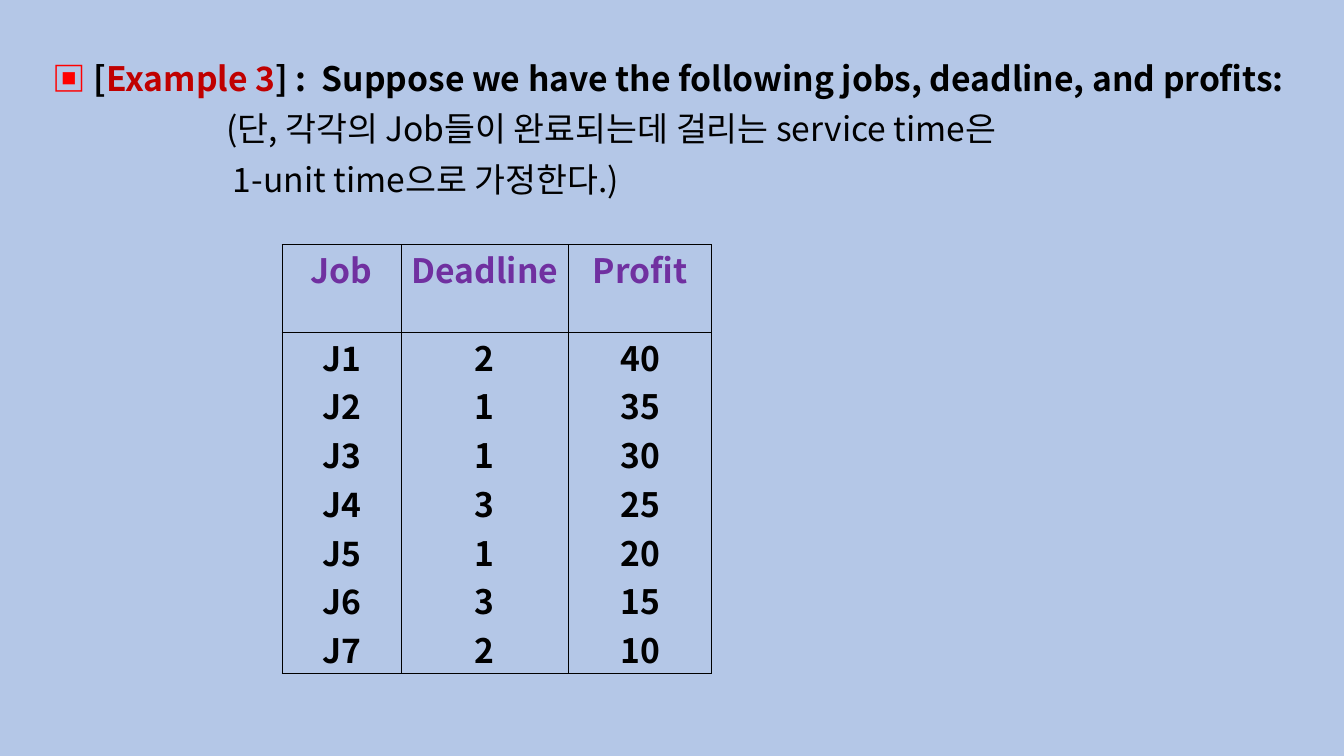
from dataclasses import dataclass

from lxml import etree
from pptx import Presentation
from pptx.dml.color import RGBColor
from pptx.enum.text import MSO_ANCHOR, PP_ALIGN
from pptx.oxml.ns import qn
from pptx.util import Cm, Pt

CENTER = PP_ALIGN.CENTER
TOP = MSO_ANCHOR.TOP
BLANK_LAYOUT = 6


@dataclass(frozen=True)
class Theme:
    font: str = "Noto Sans CJK KR"
    size: int = 24
    background: str = "B4C7E7"
    text: str = "000000"
    bullet: str = "FF0000"
    accent: str = "C00000"
    header: str = "7030A0"
    border: str = "000000"
    border_width: float = 1


THEME = Theme()

HEADING = [
    ("▣", THEME.bullet),
    (" [", THEME.text),
    ("Example 3", THEME.accent),
    ("] :  Suppose we have the following jobs, deadline, and profits:", THEME.text),
]
NOTES = [
    ("(단, 각각의 Job들이 완료되는데 걸리는 service time은", 4.38),
    ("1-unit time으로 가정한다.)", 4.55),
]
HEADERS = ["Job", "Deadline", "Profit"]
JOBS = [
    ("J1", 2, 40),
    ("J2", 1, 35),
    ("J3", 1, 30),
    ("J4", 3, 25),
    ("J5", 1, 20),
    ("J6", 3, 15),
    ("J7", 2, 10),
]
COLUMN_WIDTHS = [3.0, 4.22, 3.6]
ROW_HEIGHTS = [2.2, 8.6]


def style_run(r, color, bold=True):
    r.font.name = THEME.font
    r.font.size = Pt(THEME.size)
    r.font.bold = bold
    r.font.color.rgb = RGBColor.from_string(color)
    etree.SubElement(r.font._element, qn("a:ea"), typeface=THEME.font)


def add_run(p, text, color, bold=True):
    r = p.add_run()
    r.text = text
    style_run(r, color, bold)


def add_statement(s, left, top, width, height):
    box = s.shapes.add_textbox(Cm(left), Cm(top), Cm(width), Cm(height))
    tf = box.text_frame
    tf.word_wrap = True
    p = tf.paragraphs[0]
    for text, color in HEADING:
        add_run(p, text, color)
    for text, indent in NOTES:
        p = tf.add_paragraph()
        p._p.get_or_add_pPr().set("marL", str(Cm(indent)))
        add_run(p, text, THEME.text, bold=False)
    for p in tf.paragraphs:
        p.line_spacing = 0.9
        p.space_before = Pt(10)


def set_borders(cell):
    tcPr = cell._tc.get_or_add_tcPr()
    for i, side in enumerate(("a:lnL", "a:lnR", "a:lnT", "a:lnB")):
        ln = etree.Element(qn(side), w=str(Pt(THEME.border_width)))
        fill = etree.SubElement(ln, qn("a:solidFill"))
        etree.SubElement(fill, qn("a:srgbClr"), val=THEME.border)
        tcPr.insert(i, ln)


def fill_cell(cell, text, color):
    cell.fill.background()
    cell.vertical_anchor = TOP
    cell.margin_left = cell.margin_right = Cm(0.18)
    cell.margin_top = cell.margin_bottom = 0
    cell.text_frame.text = text
    for p in cell.text_frame.paragraphs:
        p.alignment = CENTER
        for r in p.runs:
            style_run(r, color)
    set_borders(cell)


def add_job_table(s, left, top):
    frame = s.shapes.add_table(
        len(ROW_HEIGHTS), len(HEADERS), Cm(left), Cm(top),
        Cm(sum(COLUMN_WIDTHS)), Cm(sum(ROW_HEIGHTS)),
    )
    table = frame.table
    table.first_row = table.horz_banding = False
    for row, height in zip(table.rows, ROW_HEIGHTS):
        row.height = Cm(height)
    for i, (header, values) in enumerate(zip(HEADERS, zip(*JOBS))):
        table.columns[i].width = Cm(COLUMN_WIDTHS[i])
        fill_cell(table.cell(0, i), header, THEME.header)
        fill_cell(table.cell(1, i), "\n".join(map(str, values)), THEME.text)


def build_example_slide(prs):
    s = prs.slides.add_slide(prs.slide_layouts[BLANK_LAYOUT])
    s.background.fill.solid()
    s.background.fill.fore_color.rgb = RGBColor.from_string(THEME.background)
    add_statement(s, 1.07, 1.45, 31.67, 17.3)
    add_job_table(s, 7.11, 6.17)


prs = Presentation()
prs.slide_width = Cm(33.87)
prs.slide_height = Cm(19.05)
build_example_slide(prs)
prs.save("out.pptx")
